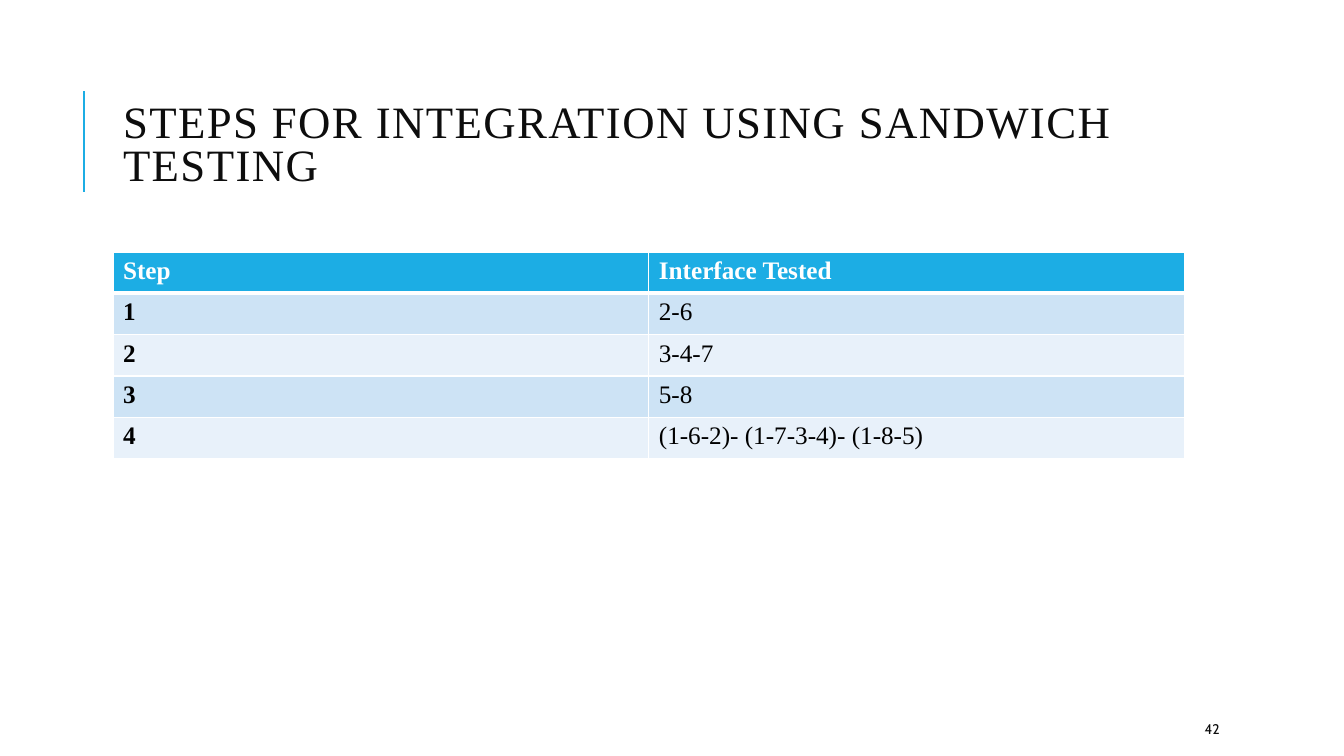
from typing import NamedTuple

from lxml import etree
from pptx import Presentation
from pptx.dml.color import RGBColor
from pptx.enum.shapes import MSO_CONNECTOR
from pptx.enum.text import MSO_ANCHOR, MSO_AUTO_SIZE, PP_ALIGN
from pptx.oxml.ns import qn
from pptx.slide import Slide
from pptx.table import _Cell
from pptx.text.text import Font, TextFrame
from pptx.util import Inches, Pt

STRAIGHT = MSO_CONNECTOR.STRAIGHT
MIDDLE = MSO_ANCHOR.MIDDLE
NO_AUTOFIT = MSO_AUTO_SIZE.NONE
LEFT = PP_ALIGN.LEFT

SERIF = "Times New Roman"
SANS = "Cabin"
ACCENT = "1CADE4"
INK = "0D0D0D"
BLACK = "000000"
WHITE = "FFFFFF"
BANDS = ("CDE3F5", "E8F1FA")

CONTENT_LEFT = Inches(1.12)
CONTENT_WIDTH = Inches(10.63)
ROW_HEIGHT = Inches(0.41)
TITLE_ONLY_LAYOUT = 5


class TestStep(NamedTuple):
    step: str
    interface: str


HEADING = TestStep("Step", "Interface Tested")
TEST_STEPS = (
    TestStep("1", "2-6"),
    TestStep("2", "3-4-7"),
    TestStep("3", "5-8"),
    TestStep("4", "(1-6-2)- (1-7-3-4)- (1-8-5)"),
)


def rgb(hex_color: str) -> RGBColor:
    return RGBColor.from_string(hex_color)


def style_font(font: Font, name: str, size: float, color: str, bold: bool = False) -> None:
    font.name = name
    font.size = Pt(size)
    font.bold = bold
    font.color.rgb = rgb(color)


def write(frame: TextFrame, text: str, name: str, size: float, color: str, bold: bool = False) -> None:
    frame.text = text
    paragraph = frame.paragraphs[0]
    paragraph.alignment = LEFT
    style_font(paragraph.runs[0].font, name, size, color, bold)


def add_border(cell: _Cell, side: str, points: float) -> None:
    """Draw one white edge; side is L, R, T or B."""
    properties = cell._tc.get_or_add_tcPr()
    edge = etree.SubElement(properties, qn(f"a:ln{side}"), w=str(Pt(points)))
    fill = etree.SubElement(edge, qn("a:solidFill"))
    etree.SubElement(fill, qn("a:srgbClr"), val=WHITE)


def add_accent_bar(slide: Slide) -> None:
    x = Inches(0.83)
    bar = slide.shapes.add_connector(STRAIGHT, x, Inches(1.9), x, Inches(0.9))
    bar.line.color.rgb = rgb(ACCENT)
    bar.line.width = Pt(1.5)
    etree.SubElement(bar._element.spPr, qn("a:effectLst"))


def add_title(slide: Slide) -> None:
    title = slide.shapes.title
    title.left, title.top = CONTENT_LEFT, Inches(0.64)
    title.width, title.height = CONTENT_WIDTH, Inches(1.64)
    frame = title.text_frame
    write(frame, "STEPS FOR INTEGRATION USING SANDWICH TESTING", SERIF, 32, INK)
    frame.word_wrap = True
    frame.auto_size = NO_AUTOFIT
    frame.vertical_anchor = MIDDLE
    heading = frame.paragraphs[0]
    heading.line_spacing = 0.8
    heading.runs[0].font._element.set("spc", "100")


def add_step_table(slide: Slide) -> None:
    rows = (HEADING, *TEST_STEPS)
    columns = len(HEADING)
    table = slide.shapes.add_table(
        len(rows), columns, CONTENT_LEFT, Inches(2.5),
        CONTENT_WIDTH, ROW_HEIGHT * len(rows),
    ).table
    for row_index, row in enumerate(rows):
        is_heading = row_index == 0
        fill = ACCENT if is_heading else BANDS[(row_index - 1) % len(BANDS)]
        for column_index, text in enumerate(row):
            cell = table.cell(row_index, column_index)
            bold = is_heading or column_index == 0
            write(cell.text_frame, text, SERIF, 18, WHITE if is_heading else BLACK, bold)
            add_border(cell, "L", 1)
            add_border(cell, "R", 1)
            add_border(cell, "T", 3 if row_index == 1 else 1)
            add_border(cell, "B", 3 if is_heading else 1)
            cell.fill.solid()
            cell.fill.fore_color.rgb = rgb(fill)


def add_page_number(slide: Slide) -> None:
    box = slide.shapes.add_textbox(Inches(11.85), Inches(7.08), Inches(1.06), Inches(0.3))
    frame = box.text_frame
    frame.word_wrap = True
    frame.vertical_anchor = MIDDLE
    write(frame, "42", SANS, 10, INK)


def main() -> None:
    presentation = Presentation()
    presentation.slide_width = Inches(13.33)
    presentation.slide_height = Inches(7.5)
    slide = presentation.slides.add_slide(presentation.slide_layouts[TITLE_ONLY_LAYOUT])
    add_accent_bar(slide)
    add_title(slide)
    add_step_table(slide)
    add_page_number(slide)
    presentation.save("out.pptx")


if __name__ == "__main__":
    main()
